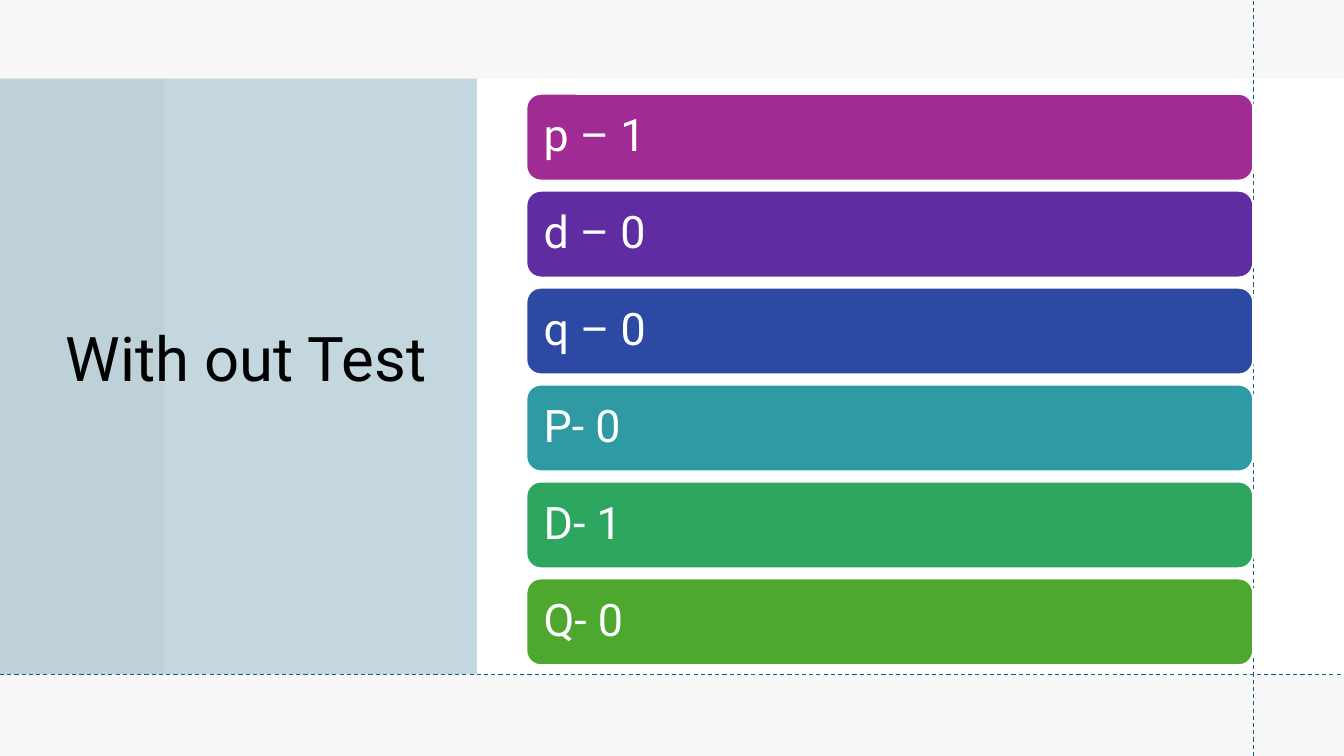
from lxml.etree import SubElement
from pptx import Presentation
from pptx.dml.color import RGBColor
from pptx.enum.dml import MSO_LINE
from pptx.enum.shapes import MSO_CONNECTOR, MSO_SHAPE
from pptx.enum.text import MSO_ANCHOR, MSO_AUTO_SIZE, PP_ALIGN
from pptx.oxml.ns import qn
from pptx.util import Inches, Pt

WIDTH, HEIGHT = 13.33, 7.5
FONT = "Roboto"
BLACK = RGBColor(0x00, 0x00, 0x00)
WHITE = RGBColor(0xFF, 0xFF, 0xFF)
PALE_GREY = RGBColor(0xF7, 0xF7, 0xF7)
TEAL = RGBColor(0x15, 0x60, 0x82)

BARS = [
    ("p – 1", RGBColor(0xA0, 0x2B, 0x93)),
    ("d – 0", RGBColor(0x5F, 0x2C, 0xA1)),
    ("q – 0", RGBColor(0x2C, 0x49, 0xA3)),
    ("P- 0", RGBColor(0x2D, 0x9A, 0xA4)),
    ("D- 1", RGBColor(0x2D, 0xA6, 0x5F)),
    ("Q- 0", RGBColor(0x4E, 0xA7, 0x2E)),
]
BARS_LEFT, BARS_RIGHT = 5.22, 12.43
BARS_TOP, BARS_BOTTOM = 0.93, 6.6
BAR_GAP = 0.1
BAR_HEIGHT = (BARS_BOTTOM - BARS_TOP + BAR_GAP) / len(BARS) - BAR_GAP
BAND_TOP, BAND_BOTTOM = 0.78, 6.69


def add_block(slide, preset, left, top, width, height, color):
    block = slide.shapes.add_shape(
        preset, Inches(left), Inches(top), Inches(width), Inches(height))
    block.shadow.inherit = False
    block.fill.solid()
    block.fill.fore_color.rgb = color
    block.line.fill.background()
    return block


def set_opacity(block, percent):
    tint = block.fill._xPr.find(qn("a:solidFill"))[0]
    SubElement(tint, qn("a:alpha"), val=str(percent * 1000))


def write_text(frame, text, size, color):
    frame.word_wrap = True
    frame.auto_size = MSO_AUTO_SIZE.NONE
    frame.vertical_anchor = MSO_ANCHOR.MIDDLE
    paragraph = frame.paragraphs[0]
    paragraph.alignment = PP_ALIGN.LEFT
    paragraph.line_spacing = 0.9
    run = paragraph.add_run()
    run.text = text
    run.font.name = FONT
    run.font.size = Pt(size)
    run.font.color.rgb = color


def add_bar(slide, row, text, color):
    top = BARS_TOP + row * (BAR_HEIGHT + BAR_GAP)
    bar = add_block(slide, MSO_SHAPE.ROUNDED_RECTANGLE, BARS_LEFT, top,
                    BARS_RIGHT - BARS_LEFT, BAR_HEIGHT, color)
    bar.line.color.rgb = WHITE
    bar.line.width = Pt(1.5)
    bar.text_frame.margin_left = bar.text_frame.margin_right = Inches(0.13)
    write_text(bar.text_frame, text, 32, WHITE)


def add_guide(slide, x1, y1, x2, y2):
    guide = slide.shapes.add_connector(
        MSO_CONNECTOR.STRAIGHT, Inches(x1), Inches(y1), Inches(x2), Inches(y2))
    guide.line.color.rgb = TEAL
    guide.line.width = Pt(0.75)
    guide.line.dash_style = MSO_LINE.DASH
    SubElement(guide._element.spPr, qn("a:effectLst"))


def place_title(slide, text):
    title = slide.shapes.title
    title.left, title.top = Inches(0.55), Inches(0.74)
    title.width, title.height = Inches(3.95), Inches(5.69)
    write_text(title.text_frame, text, 44, BLACK)
    slide.shapes._spTree.append(title._element)


def main():
    deck = Presentation()
    deck.slide_width, deck.slide_height = Inches(WIDTH), Inches(HEIGHT)
    slide = deck.slides.add_slide(deck.slide_layouts[5])
    slide.background.fill.solid()
    slide.background.fill.fore_color.rgb = PALE_GREY

    band_height = BAND_BOTTOM - BAND_TOP
    add_block(slide, MSO_SHAPE.RECTANGLE, 1.62, BAND_TOP,
              WIDTH - 1.62, band_height, WHITE)
    panel = add_block(slide, MSO_SHAPE.RECTANGLE, 0, BAND_TOP,
                      4.73, band_height, TEAL)
    set_opacity(panel, 25)
    place_title(slide, "With out Test")

    add_guide(slide, BARS_RIGHT, HEIGHT, BARS_RIGHT, 0)
    add_guide(slide, 0, BAND_BOTTOM, WIDTH, BAND_BOTTOM)
    for row, (text, color) in enumerate(BARS):
        add_bar(slide, row, text, color)

    deck.save("out.pptx")


if __name__ == "__main__":
    main()
